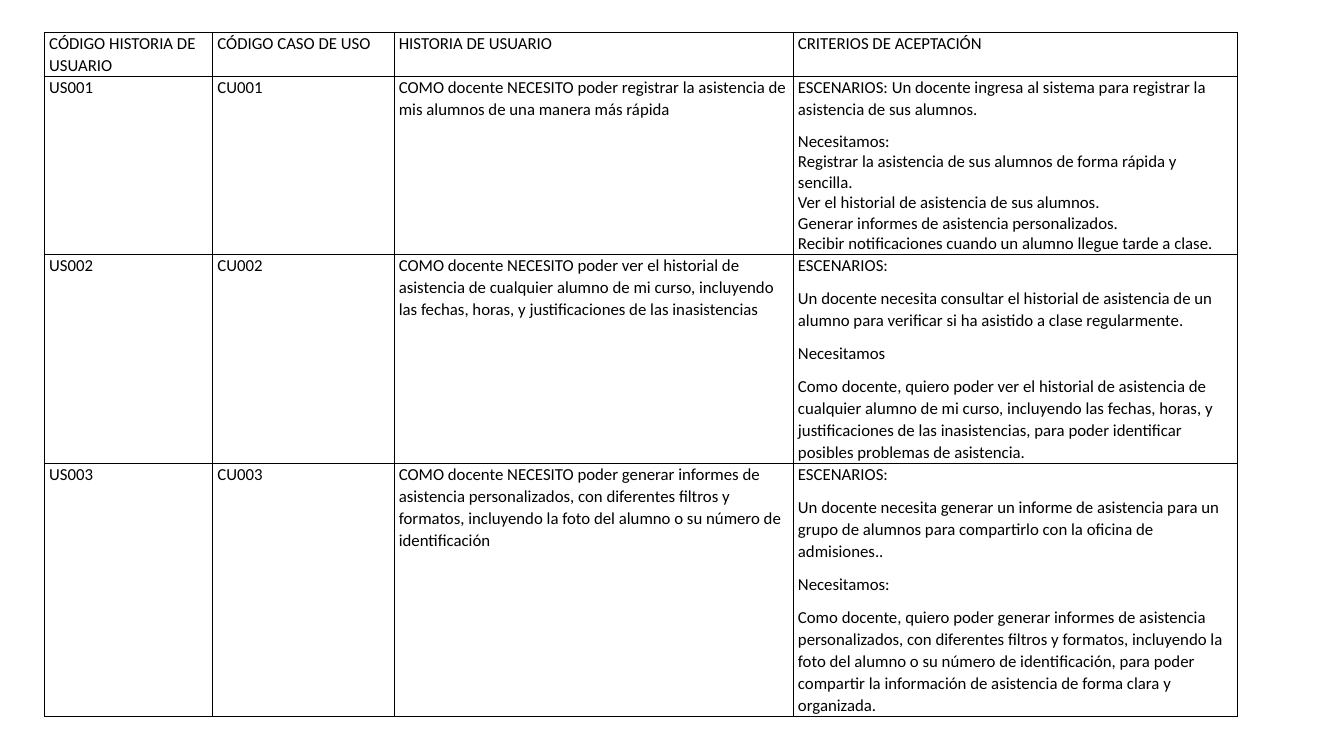
from lxml.etree import SubElement
from pptx import Presentation
from pptx.dml.color import RGBColor
from pptx.oxml.ns import qn
from pptx.util import Cm, Pt

FONT, SIZE, BLACK = "Calibri", 12, "000000"

HEADERS = ["CÓDIGO HISTORIA DE USUARIO", "CÓDIGO CASO DE USO",
           "HISTORIA DE USUARIO", "CRITERIOS DE ACEPTACIÓN"]

# Per story: user story, spaced paragraphs, tightly set paragraphs
STORIES = [
    ("COMO docente NECESITO poder registrar la asistencia de mis alumnos de una manera más rápida",
     ["ESCENARIOS: Un docente ingresa al sistema para registrar la asistencia de sus alumnos."],
     ["Necesitamos:\nRegistrar la asistencia de sus alumnos de forma rápida y sencilla.",
      "Ver el historial de asistencia de sus alumnos.",
      "Generar informes de asistencia personalizados.",
      "Recibir notificaciones cuando un alumno llegue tarde a clase."]),
    ("COMO docente NECESITO poder ver el historial de asistencia de cualquier alumno de mi curso, "
     "incluyendo las fechas, horas, y justificaciones de las inasistencias",
     ["ESCENARIOS:",
      "Un docente necesita consultar el historial de asistencia de un alumno para verificar si ha "
      "asistido a clase regularmente.",
      "Necesitamos",
      "Como docente, quiero poder ver el historial de asistencia de cualquier alumno de mi curso, "
      "incluyendo las fechas, horas, y justificaciones de las inasistencias, para poder identificar "
      "posibles problemas de asistencia."],
     []),
    ("COMO docente NECESITO poder generar informes de asistencia personalizados, con diferentes "
     "filtros y formatos, incluyendo la foto del alumno o su número de identificación",
     ["ESCENARIOS:",
      "Un docente necesita generar un informe de asistencia para un grupo de alumnos para "
      "compartirlo con la oficina de admisiones..",
      "Necesitamos:",
      "Como docente, quiero poder generar informes de asistencia personalizados, con diferentes "
      "filtros y formatos, incluyendo la foto del alumno o su número de identificación, para poder "
      "compartir la información de asistencia de forma clara y organizada."],
     []),
]

LEFT, TOP, HEIGHT = 1.12, 0.82, 16.92
COL_WIDTHS = [4.24, 4.57, 10.06, 11.2]
ROW_HEIGHTS = [0.94, 3.78, 4.75, 4.75]


def color(hex_text):
    return RGBColor.from_string(hex_text)


def add_text(p, text, line_spacing=1.07, space_after=8):
    p.text = text
    p.line_spacing = line_spacing
    p.space_after = Pt(space_after)
    for r in p.runs:
        r.font.name = FONT
        r.font.size = Pt(SIZE)
        r.font.bold = False
        r.font.color.rgb = color(BLACK)
    for br in p._p.findall(qn("a:br")):
        SubElement(br, qn("a:rPr"), sz=str(SIZE * 100))


def add_borders(cell, width=0.5):
    tc_pr = cell._tc.get_or_add_tcPr()
    for i, side in enumerate(("lnL", "lnR", "lnT", "lnB")):
        ln = SubElement(tc_pr, qn("a:" + side), w=str(Pt(width)))
        fill = SubElement(ln, qn("a:solidFill"))
        SubElement(fill, qn("a:srgbClr"), val=BLACK)
        tc_pr.insert(i, ln)  # borders precede the cell fill


def fill_cell(cell, spaced, tight=()):
    cell.margin_left = cell.margin_right = Cm(0.12)
    cell.margin_top = cell.margin_bottom = 0
    cell.fill.background()
    add_borders(cell)
    tf = cell.text_frame
    formats = [(t, {}) for t in spaced]
    formats += [(t, {"line_spacing": 1.0, "space_after": 0}) for t in tight]
    for i, (text, fmt) in enumerate(formats):
        add_text(tf.add_paragraph() if i else tf.paragraphs[0], text, **fmt)


prs = Presentation()
prs.slide_width, prs.slide_height = Cm(33.87), Cm(19.05)
s = prs.slides.add_slide(prs.slide_layouts[6])

frame = s.shapes.add_table(len(STORIES) + 1, len(HEADERS), Cm(LEFT), Cm(TOP),
                           Cm(sum(COL_WIDTHS)), Cm(HEIGHT))
table = frame.table
table.horz_banding = False
table.first_row = False
for col, width in zip(table.columns, COL_WIDTHS):
    col.width = Cm(width)
for row, height in zip(table.rows, ROW_HEIGHTS):
    row.height = Cm(height)
frame.height = Cm(HEIGHT)

for c, header in enumerate(HEADERS):
    fill_cell(table.cell(0, c), [header])
for n, (story, spaced, tight) in enumerate(STORIES, 1):
    for c, text in enumerate((f"US{n:03}", f"CU{n:03}", story)):
        fill_cell(table.cell(n, c), [text])
    fill_cell(table.cell(n, 3), spaced, tight)

prs.save("out.pptx")
